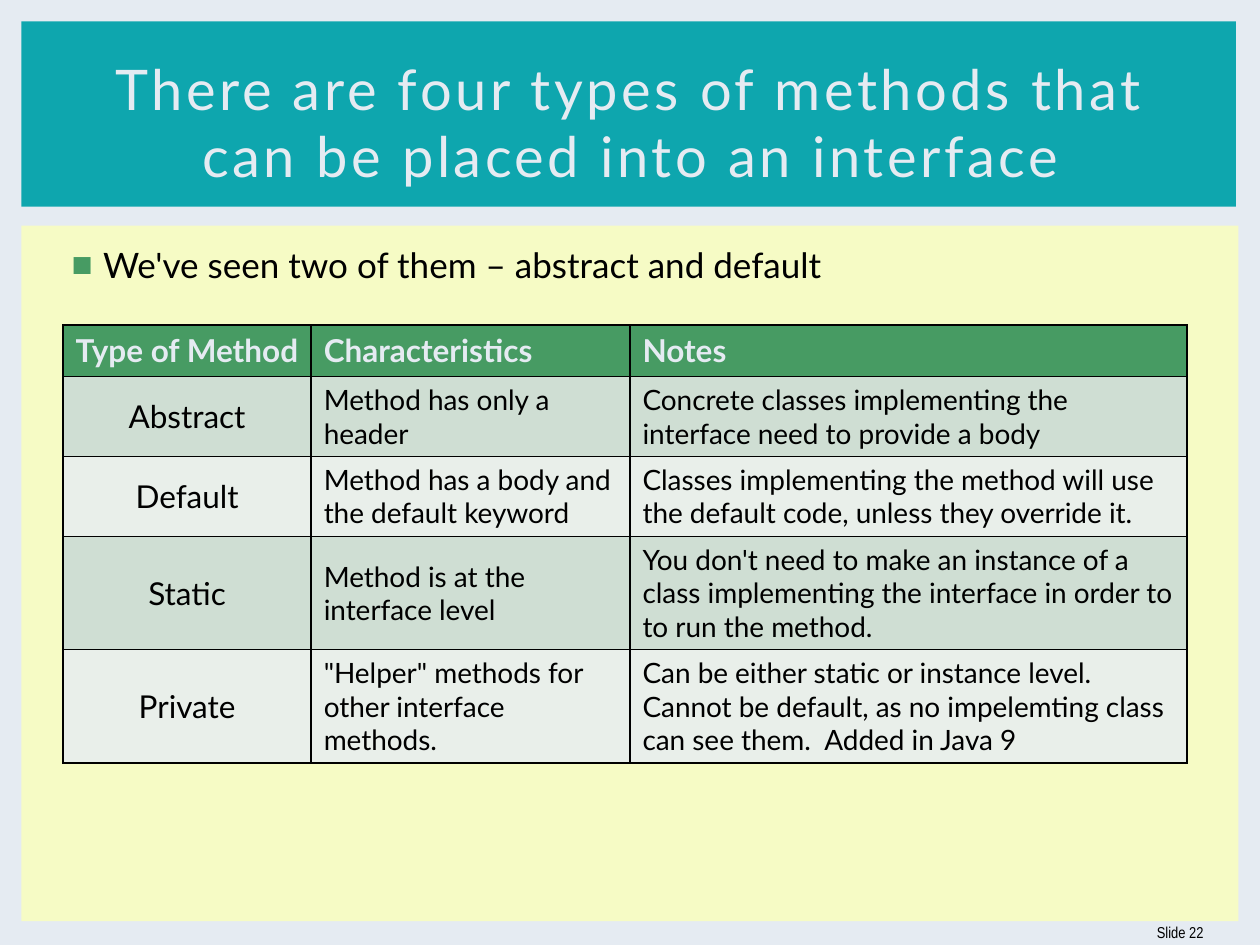
import pptx
import pptx.util
import pptx.dml.color
import pptx.enum.shapes
import pptx.enum.text
import pptx.oxml
import pptx.oxml.ns
from pptx.util import Inches

COLORS = {
    "background": "E5EBF2", "panel": "F6FBC5", "banner": "0EA6AE",
    "light": "E5EBF2", "text": "000000", "green": "479B63",
    "band_dark": "CFDED3", "band_light": "E9EFEA",
}
ALIGN = pptx.enum.text.PP_ALIGN
ANCHOR = pptx.enum.text.MSO_ANCHOR


def rgb(name):
    return pptx.dml.color.RGBColor.from_string(COLORS[name])


def xml(markup):
    ns = pptx.oxml.ns.nsdecls("a")
    return pptx.oxml.parse_xml(markup.replace(">", f" {ns}>", 1))


class SlideBuilder:
    """Holds the style and the current slide, and adds its elements."""

    font = "Lato"

    def __init__(self, slide):
        self.slide = slide
        slide.background.fill.solid()
        slide.background.fill.fore_color.rgb = rgb("background")

    def rect(self, x, y, w, h, fill):
        kind = pptx.enum.shapes.MSO_SHAPE.RECTANGLE
        sp = self.slide.shapes.add_shape(kind, Inches(x), Inches(y), Inches(w), Inches(h))
        sp.shadow.inherit = False
        sp.fill.solid()
        sp.fill.fore_color.rgb = rgb(fill)
        sp.line.fill.background()

    def run(self, p, text, size, color="text", align=ALIGN.LEFT, bold=False, font=None):
        p.alignment = align
        r = p.add_run()
        r.text = text
        r.font.name = font or self.font
        r.font.size = pptx.util.Pt(size)
        r.font.bold = bold
        r.font.color.rgb = rgb(color)
        return r

    def text(self, x, y, w, h, text, size, anchor=ANCHOR.MIDDLE, spacing=0, **style):
        sp = self.slide.shapes.add_textbox(Inches(x), Inches(y), Inches(w), Inches(h))
        tf = sp.text_frame
        tf.word_wrap = True
        tf.vertical_anchor = anchor
        p = tf.paragraphs[0]
        r = self.run(p, text, size, **style)
        if spacing:
            r._r.get_or_add_rPr().set("spc", str(spacing * 100))
        return p

    def bullet(self, x, y, w, h, text, size):
        p = self.text(x, y, w, h, text, size, anchor=ANCHOR.TOP)
        p.space_after = pptx.util.Pt(6)
        pPr = p._p.get_or_add_pPr()
        pPr.set("marL", str(Inches(0.3)))
        pPr.set("indent", str(Inches(-0.25)))
        pPr.append(xml(f'<a:buClr><a:srgbClr val="{COLORS["green"]}"/></a:buClr>'))
        pPr.append(xml('<a:buFont typeface="Arial"></a:buFont>'))
        pPr.append(xml('<a:buChar char="■"></a:buChar>'))

    def borders(self, cell):
        tcPr = cell._tc.get_or_add_tcPr()
        for i, side in enumerate(("lnL", "lnR", "lnT", "lnB")):
            tcPr.insert(i, xml(
                f'<a:{side} w="{pptx.util.Pt(1)}"><a:solidFill>'
                f'<a:srgbClr val="{COLORS["text"]}"/></a:solidFill></a:{side}>'))

    def table(self, x, y, widths, heights, rows):
        frame = self.slide.shapes.add_table(
            len(rows), len(widths), Inches(x), Inches(y),
            Inches(sum(widths)), Inches(sum(heights)))
        table = frame.table
        for column, width in zip(table.columns, widths):
            column.width = Inches(width)
        for i, (row, height) in enumerate(zip(rows, heights)):
            table.rows[i].height = Inches(height)
            for j, value in enumerate(row):
                cell = table.cell(i, j)
                cell.fill.solid()
                p = cell.text_frame.paragraphs[0]
                if i == 0:
                    fill = "green"
                    self.run(p, value, 18, "light", bold=True)
                else:
                    fill = "band_dark" if i % 2 else "band_light"
                    cell.vertical_anchor = ANCHOR.MIDDLE
                    size, align = (16, ALIGN.LEFT) if j else (18, ALIGN.CENTER)
                    self.run(p, value, size, align=align)
                cell.fill.fore_color.rgb = rgb(fill)
                self.borders(cell)


METHODS = [
    ("Type of Method", "Characteristics", "Notes"),
    ("Abstract", "Method has only a header",
     "Concrete classes implementing the interface need to provide a body"),
    ("Default", "Method has a body and the default keyword",
     "Classes implementing the method will use the default code, unless they override it."),
    ("Static", "Method is at the interface level",
     "You don't need to make an instance of a class implementing the interface "
     "in order to to run the method."),
    ("Private", "\"Helper\" methods for other interface methods.",
     "Can be either static or instance level.  Cannot be default, as no "
     "impelemting class can see them.  Added in Java 9"),
]

prs = pptx.Presentation()
prs.slide_width, prs.slide_height = Inches(10), Inches(7.5)
s = SlideBuilder(prs.slides.add_slide(prs.slide_layouts[6]))
s.rect(0.17, 1.79, 9.66, 5.52, "panel")
s.rect(0.17, 0.17, 9.64, 1.47, "banner")
s.text(9.01, 7.25, 0.64, 0.3, "Slide 22", 9, align=ALIGN.RIGHT, font="Arial Narrow")
s.bullet(0.42, 1.88, 9.19, 4.82, "We've seen two of them – abstract and default", 20)
s.text(0.42, 0.39, 9.17, 1.15,
       "There are four types of methods that can be placed into an interface",
       32, spacing=2, color="light", align=ALIGN.CENTER)
s.table(0.5, 2.58, [1.97, 2.53, 4.42], [0.41, 0.63, 0.63, 0.9, 0.9], METHODS)
prs.save("out.pptx")
